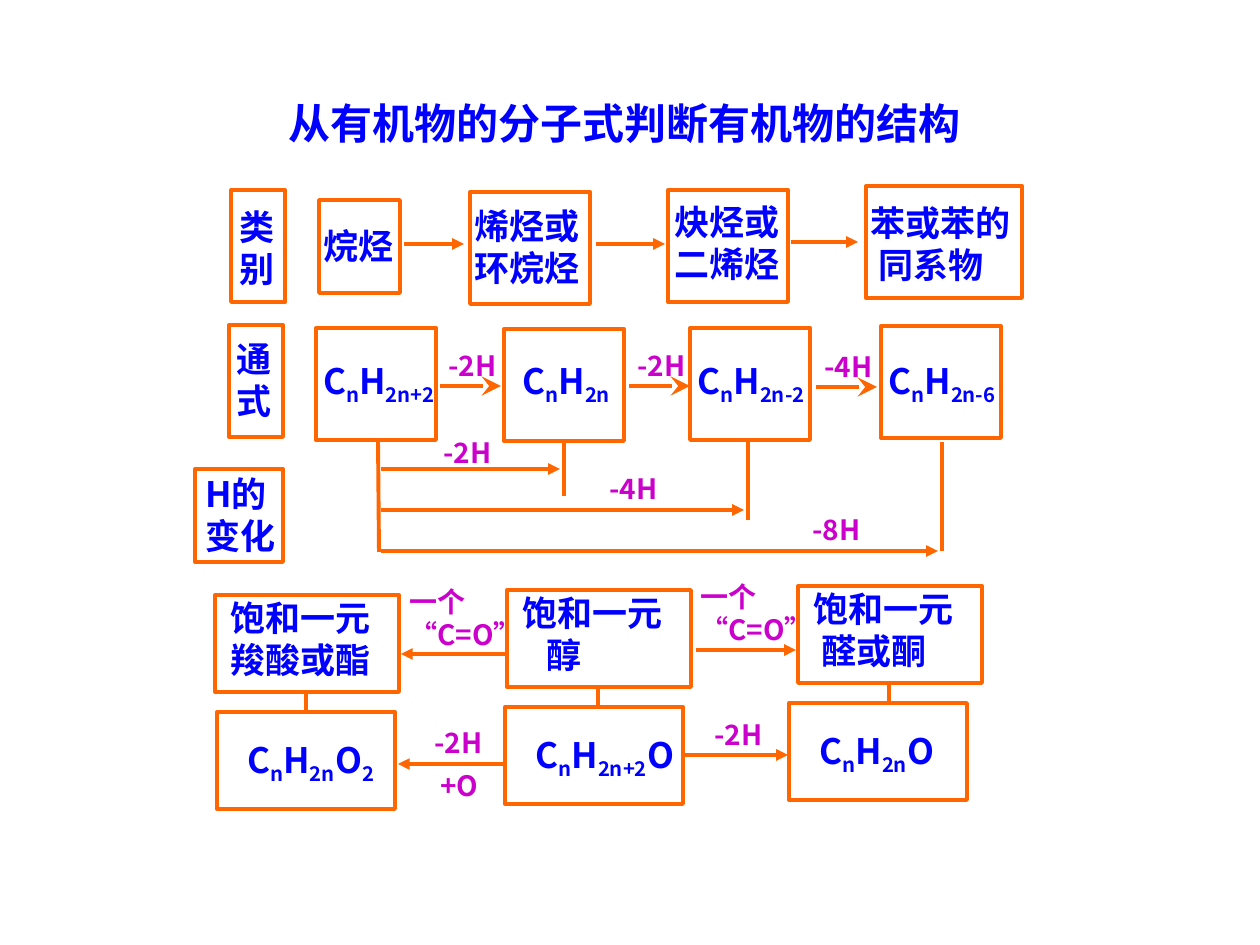
from lxml import etree
from pptx import Presentation
from pptx.dml.color import RGBColor
from pptx.enum.shapes import MSO_CONNECTOR, MSO_SHAPE
from pptx.oxml.ns import qn
from pptx.util import Emu, Pt

RECT = MSO_SHAPE.RECTANGLE
STRAIGHT = MSO_CONNECTOR.STRAIGHT
FONT = "Noto Sans CJK SC"
BLUE, ORANGE, PURPLE = "0000FF", "FF6600", "CC00CC"
LINE_WIDTH = 2.25


def px(n):
    """Turn pixels into EMU."""
    return Emu(round(n * 914400 / 126))


def color(value):
    """Turn a hex string into a colour."""
    return RGBColor.from_string(value)


def add_text(s, text, x, y, w, h, size=20, fill=BLUE, spacing=None, indent=0):
    """Place text; each | switches subscript on or off, indent moves later lines."""
    tf = s.shapes.add_textbox(px(x), px(y), px(w), px(h)).text_frame
    tf.word_wrap = True
    for i, line in enumerate(text.split("\n")):
        p = tf.add_paragraph() if i else tf.paragraphs[0]
        if spacing:
            p.line_spacing = spacing
        if i and indent:
            pPr = p._p.get_or_add_pPr()
            pPr.set("marL", str(px(indent)))
            pPr.set("indent", "0")
        for j, part in enumerate(line.split("|")):
            r = p.add_run()
            r.text = part
            r.font.size, r.font.bold, r.font.name = Pt(size), True, FONT
            r.font.color.rgb = color(fill)
            rPr = r._r.get_or_add_rPr()
            rPr.set("lang", "zh-CN")
            etree.SubElement(rPr, qn("a:ea")).set("typeface", FONT)
            if j % 2:
                rPr.set("baseline", "-25000")


def add_label(s, text, x, y, h=50, spacing=1.1, indent=0):
    """Place a purple note beside an arrow."""
    add_text(s, text, x, y, 144, h, size=16, fill=PURPLE, spacing=spacing, indent=indent)


def add_frame(s, x, y, w, h):
    """Draw an unfilled orange frame."""
    sp = s.shapes.add_shape(RECT, px(x), px(y), px(w), px(h))
    sp.shadow.inherit = False
    sp.fill.background()
    sp.line.color.rgb = color(ORANGE)
    sp.line.width = Pt(LINE_WIDTH)


def add_line(s, x1, y1, x2, y2, head=None, head_size="med"):
    """Draw an orange line, with an arrowhead at its end if one is named."""
    c = s.shapes.add_connector(STRAIGHT, px(x1), px(y1), px(x2), px(y2))
    c.line.color.rgb = color(ORANGE)
    c.line.width = Pt(LINE_WIDTH)
    spPr = c._element.spPr
    if head:
        tail = etree.SubElement(spPr.find(qn("a:ln")), qn("a:tailEnd"))
        for key, value in (("type", head), ("w", head_size), ("len", head_size)):
            tail.set(key, value)
    etree.SubElement(spPr, qn("a:effectLst"))


def add_classes(s, x, y):
    """Build the row of hydrocarbon classes."""
    classes = [
        ("类\n别", (4, 4, 54, 112), (0, 13, 82, 97)),
        ("烷烃", (92, 14, 81, 93), (84, 32, 140, 55)),
        ("烯烃或\n环烷烃", (243, 6, 120, 112), (235, 12, 170, 97)),
        ("炔烃或\n二烯烃", (441, 4, 120, 112), (435, 8, 170, 97)),
        ("苯或苯的\n同系物", (639, 0, 156, 112), (631, 9, 200, 97)),
    ]
    for text, (fx, fy, fw, fh), (tx, ty, tw, th) in classes:
        add_frame(s, x + fx, y + fy, fw, fh)
        add_text(s, text, x + tx, y + ty, tw, th,
                 indent=8 if text.startswith("苯") else 0)
    for start, end, dy in ((177, 237, 58), (369, 438, 58), (564, 631, 56)):
        add_line(s, x + start, y + dy, x + end, y + dy, "triangle")


def add_formulas(s, x, y):
    """Build the row of general formulas with the loss of H between them."""
    add_frame(s, x + 5, y, 54, 112)
    add_text(s, "通式", x, y + 6, 82, 97)
    formulas = [("C|n|H|2n+2", 92, 3, -5), ("C|n|H|2n", 280, 4, 6),
                ("C|n|H|2n-2", 466, 3, -5), ("C|n|H|2n-6", 657, 1, -5)]
    for text, dx, dy, shift in formulas:
        add_frame(s, x + dx, y + dy, 120, 112)
        add_text(s, text, x + dx + shift, y + 28, 170, 60)
    for text, dx, dy in (("-2H", 216, 61), ("-2H", 405, 61), ("-4H", 592, 62)):
        add_line(s, x + dx, y + dy, x + dx + 61, y + dy, "stealth", "lg")
        add_label(s, text, x + dx - 4, y + dy - 47)


def add_changes(s, x, y):
    """Build the branches that count the H lost from the alkane."""
    add_frame(s, x + 2, y + 29, 88, 93)
    add_text(s, "H的变化", x, y + 26, 112, 97)
    add_line(s, x + 185, y, x + 186, y + 112)
    changes = [("-2H", 371, 29, 56, 238, -14), ("-4H", 555, 70, 80, 404, 22),
               ("-8H", 749, 111, 111, 607, 63)]
    for text, drop, level, bottom, label_x, label_y in changes:
        add_line(s, x + drop, y + 2, x + drop, y + bottom)
        add_line(s, x + 188, y + level, x + drop - 4, y + level, "triangle")
        add_label(s, text, x + label_x, y + label_y)


def add_oxygen_compounds(s, x, y):
    """Build the oxygen compounds with their formulas and conversions."""
    compounds = [
        ("饱和一元羧酸或酯", "C|n|H|2n|O|2", 0, 9, 2, 0),
        ("饱和一元\n醇", "C|n|H|2n+2|O", 292, 4, -2, 24),
        ("饱和一元\n醛或酮", "C|n|H|2n|O", 583, 0, -9, 8),
    ]
    for name, formula, dx, dy, shift, indent in compounds:
        left, top = x + dx, y + dy
        add_frame(s, left, top, 184, 97)
        add_text(s, name, left + 3, top - 5, 198, 97, indent=indent)
        add_line(s, left + 91, top + 97, left + 91, top + 117)
        add_frame(s, left + shift, top + 117, 178, 97)
        add_text(s, formula, left + shift + 18, top + 137, 170, 60)
    for start, end, dy in ((290, 186, 68), (481, 581, 64),
                           (288, 183, 178), (470, 573, 169)):
        add_line(s, x + start, y + dy, x + end, y + dy, "triangle")
    for dx, dy in ((182, -8), (473, -13)):
        add_label(s, "一个\n“C=O”", x + dx, y + dy, h=81, spacing=None)
    add_label(s, "-2H\n+O", x + 207, y + 123, h=101, spacing=1.3, indent=6)
    add_label(s, "-2H", x + 487, y + 115, h=57, spacing=1.3)


def main():
    """Build the slide and save it."""
    prs = Presentation()
    prs.slide_width, prs.slide_height = px(1260), px(945)
    s = prs.slides.add_slide(prs.slide_layouts[6])
    add_text(s, "从有机物的分子式判断有机物的结构", 276, 91, 709, 63, size=24)
    add_classes(s, 227, 186)
    add_formulas(s, 224, 325)
    add_changes(s, 193, 440)
    add_oxygen_compounds(s, 215, 586)
    prs.save("out.pptx")


if __name__ == "__main__":
    main()
